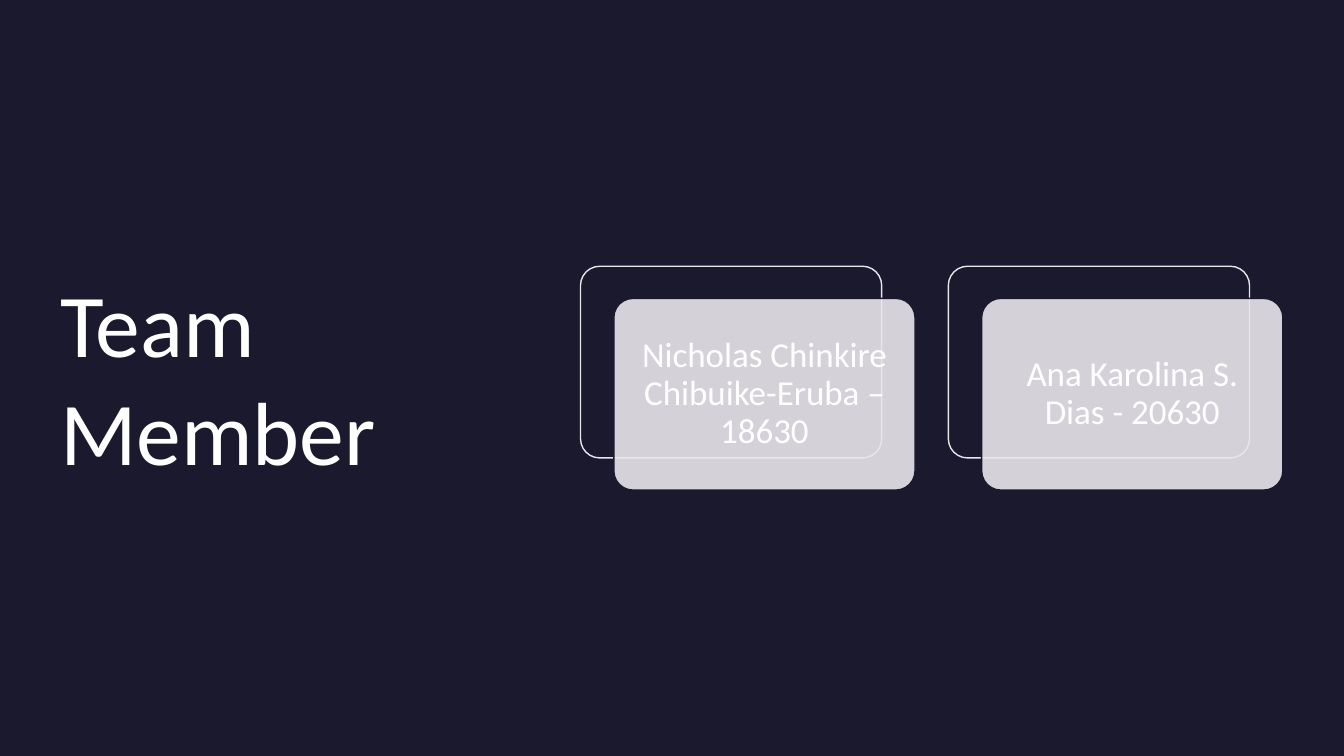
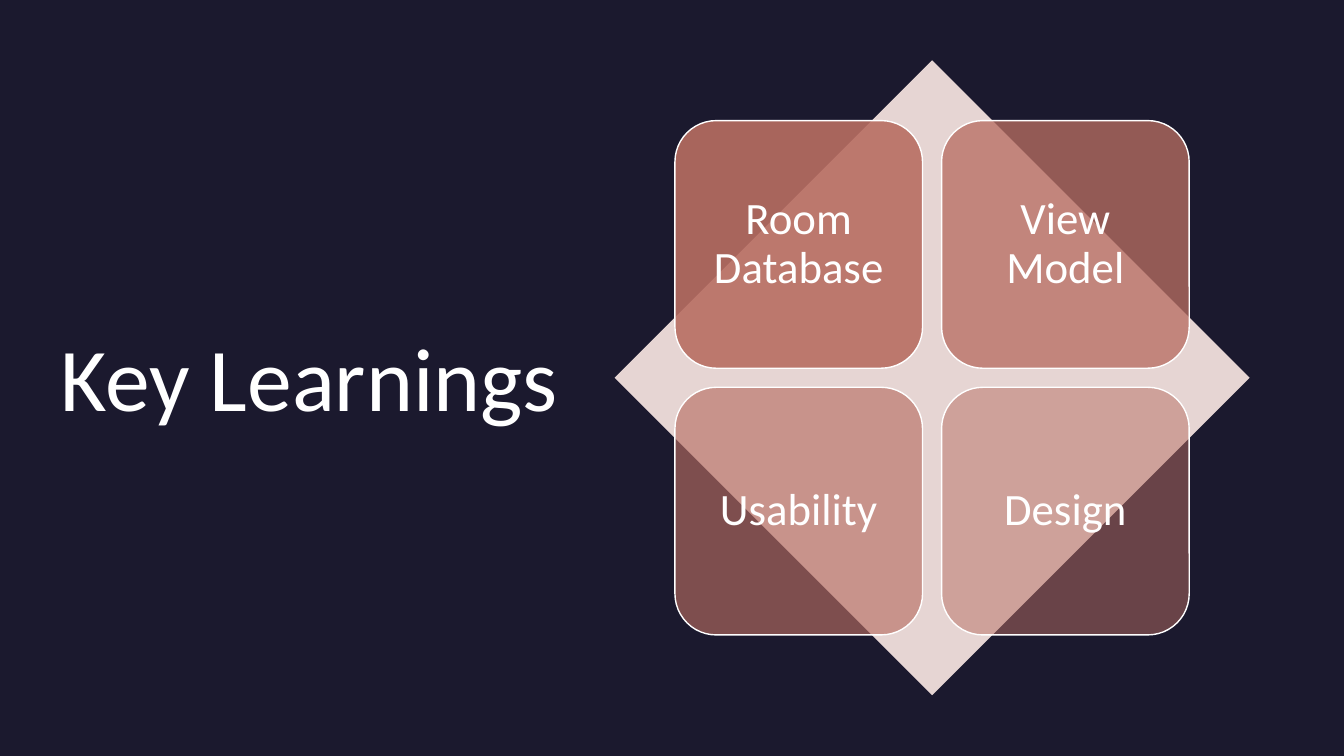
from pptx import Presentation
from pptx.dml.color import RGBColor
from pptx.enum.shapes import MSO_SHAPE
from pptx.enum.text import MSO_ANCHOR, PP_ALIGN
from pptx.oxml.ns import qn
from pptx.util import Cm, Pt
from lxml.etree import SubElement

MEMBERS = ["Nicholas Chinkire Chibuike-Eruba – 18630", "Ana Karolina S. Dias - 20630"]
LEARNINGS = [("Room Database", 90), ("View Model", 77), ("Usability", 63), ("Design", 50)]

NAVY = RGBColor(0x1B, 0x19, 0x2E)
WHITE = RGBColor(0xFF, 0xFF, 0xFF)
LILAC = RGBColor(0xEA, 0xE5, 0xEB)
CLAY = RGBColor(0xB8, 0x6E, 0x62)
BLUSH = RGBColor(0xE6, 0xD5, 0xD3)
FONT = "Calibri"

CARD_LEFT, CARD_TOP, CARD_W, CARD_H = 14.63, 6.71, 7.59, 4.83
CARD_PITCH, CARD_DX, CARD_DY = 9.27, 0.84, 0.81
DIAMOND_LEFT, DIAMOND_TOP, DIAMOND_SIZE = 15.49, 1.52, 16
TILE_SIZE, TILE_PITCH = 6.24, 6.72


def set_text(shape, text, size, inset):
    tf = shape.text_frame
    tf.word_wrap = True
    tf.vertical_anchor = MSO_ANCHOR.MIDDLE
    tf.margin_left = tf.margin_right = tf.margin_top = tf.margin_bottom = Cm(inset)
    p = tf.paragraphs[0]
    p.text = text
    p.font.name = FONT
    p.font.size = Pt(size)
    p.font.color.rgb = WHITE
    return p


def set_label(shape, text, size, inset):
    p = set_text(shape, text, size, inset)
    p.alignment = PP_ALIGN.CENTER
    p.line_spacing = 0.9


def add_block(s, kind, box, fill, line=None, alpha=100, adj=None):
    sp = s.shapes.add_shape(kind, *map(Cm, box))
    sp.shadow.inherit = False
    sp.fill.solid()
    sp.fill.fore_color.rgb = fill
    if alpha < 100:
        color = sp._element.spPr.find(qn("a:solidFill"))[0]
        SubElement(color, qn("a:alpha")).set("val", str(alpha * 1000))
    if line is None:
        sp.line.fill.background()
    else:
        sp.line.color.rgb = line
        sp.line.width = Pt(1)
    if adj is not None:
        sp.adjustments[0] = adj
    return sp


def add_titled_slide(prs, title):
    s = prs.slides.add_slide(prs.slide_layouts[6])
    box = s.shapes.add_textbox(Cm(1.52), Cm(4.22), Cm(12.6), Cm(10.49))
    set_text(box, title, 64, 0)
    return s


def build_team(prs):
    s = add_titled_slide(prs, "Team Member")
    for i, member in enumerate(MEMBERS):
        x = CARD_LEFT + i * CARD_PITCH
        add_block(s, MSO_SHAPE.ROUNDED_RECTANGLE, (x, CARD_TOP, CARD_W, CARD_H),
                  NAVY, LILAC, adj=0.1)
        card = add_block(s, MSO_SHAPE.ROUNDED_RECTANGLE,
                         (x + CARD_DX, CARD_TOP + CARD_DY, CARD_W, CARD_H),
                         LILAC, NAVY, alpha=90, adj=0.1)
        set_label(card, member, 25, 0.25)


def build_learnings(prs):
    s = add_titled_slide(prs, "Key Learnings")
    add_block(s, MSO_SHAPE.DIAMOND,
              (DIAMOND_LEFT, DIAMOND_TOP, DIAMOND_SIZE, DIAMOND_SIZE), BLUSH)
    margin = (DIAMOND_SIZE - TILE_PITCH - TILE_SIZE) / 2
    for i, (topic, alpha) in enumerate(LEARNINGS):
        row, col = divmod(i, 2)
        box = (DIAMOND_LEFT + margin + col * TILE_PITCH,
               DIAMOND_TOP + margin + row * TILE_PITCH, TILE_SIZE, TILE_SIZE)
        tile = add_block(s, MSO_SHAPE.ROUNDED_RECTANGLE, box, CLAY, WHITE, alpha)
        set_label(tile, topic, 32, 0.33)


def main():
    prs = Presentation()
    prs.slide_width, prs.slide_height = Cm(33.87), Cm(19.05)
    background = prs.slide_master.background.fill
    background.solid()
    background.fore_color.rgb = NAVY
    build_team(prs)
    build_learnings(prs)
    prs.save("out.pptx")


if __name__ == "__main__":
    main()
